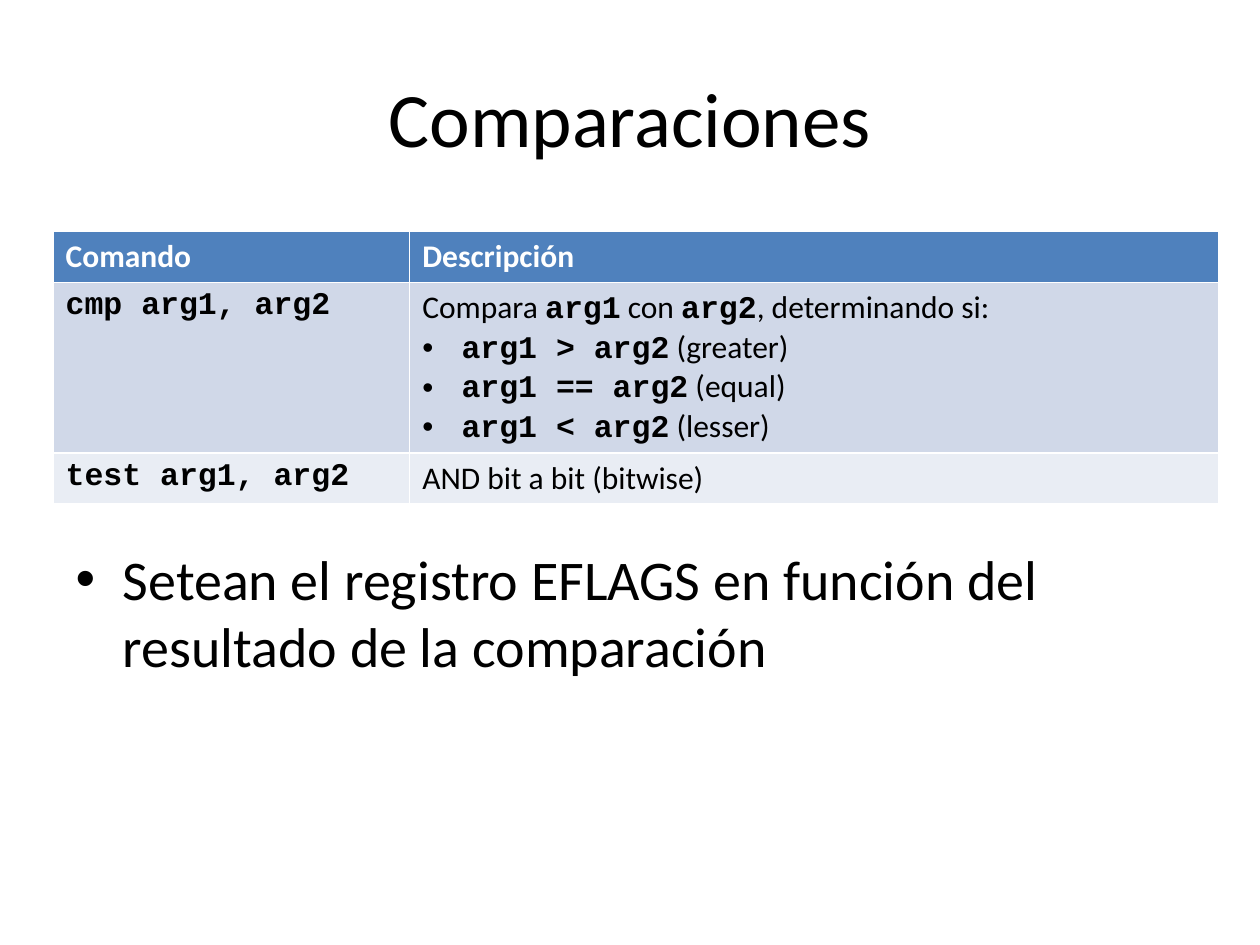
"""Build a slide on the comparison instructions, with a table and a remark."""
import pptx
import pptx.dml.color
import pptx.enum.text
import pptx.oxml.ns
import pptx.util
import lxml.etree

RGBColor = pptx.dml.color.RGBColor
Cm, Pt = pptx.util.Cm, pptx.util.Pt
BLACK = RGBColor(0x00, 0x00, 0x00)
WHITE = RGBColor(0xFF, 0xFF, 0xFF)
BLUE = RGBColor(0x4F, 0x81, 0xBD)
BAND_DARK = RGBColor(0xD0, 0xD8, 0xE8)
BAND_LIGHT = RGBColor(0xE9, 0xED, 0xF4)
BODY_FONT, CODE_FONT = "Calibri", "Courier New"

HEADER = ["Comando", "Descripción"]
ROWS = [
    ("cmp arg1, arg2", [
        ["Compara ", "`arg1", " con ", "`arg2", ", determinando si:"],
        ["`arg1 > arg2", " (greater)"],
        ["`arg1 == arg2", " (equal)"],
        ["`arg1 < arg2", " (lesser)"],
    ]),
    ("test arg1, arg2", [["AND bit a bit (bitwise)"]]),
]


def add_text(p, text, size=18, color=BLACK, font=BODY_FONT, bold=False):
    r = p.add_run()
    r.text = text
    r.font.name, r.font.size, r.font.bold = font, Pt(size), bold
    r.font.color.rgb = color


def add_bullet(p, indent):
    pPr = p._p.get_or_add_pPr()
    pPr.set("marL", str(int(indent)))
    pPr.set("indent", str(-int(indent)))
    qn = pptx.oxml.ns.qn
    lxml.etree.SubElement(pPr, qn("a:buFont"), typeface="Arial")
    lxml.etree.SubElement(pPr, qn("a:buChar"), char="•")


class SlideBuilder:
    def __init__(self, prs):
        self.s = prs.slides.add_slide(prs.slide_layouts[1])

    def place(self, sp, left, top, width, height):
        sp.left, sp.top, sp.width, sp.height = map(Cm, (left, top, width, height))
        tf = sp.text_frame
        tf.word_wrap = True
        tf.auto_size = pptx.enum.text.MSO_AUTO_SIZE.NONE
        return tf

    def title(self, text, box):
        tf = self.place(self.s.shapes.title, *box)
        tf.vertical_anchor = pptx.enum.text.MSO_ANCHOR.MIDDLE
        p = tf.paragraphs[0]
        p.alignment = pptx.enum.text.PP_ALIGN.CENTER
        add_text(p, text, size=44)

    def body(self, text, box, margin_top):
        tf = self.place(self.s.placeholders[1], *box)
        tf.margin_top = Cm(margin_top)
        p = tf.paragraphs[0]
        p.space_before = Pt(0)
        add_bullet(p, Cm(0.95))
        add_text(p, text, size=32)

    def cell(self, cell, lines, fill, color=BLACK, bold=False):
        cell.fill.solid()
        cell.fill.fore_color.rgb = fill
        tf = cell.text_frame
        for i, parts in enumerate(lines):
            p = tf.add_paragraph() if i else tf.paragraphs[0]
            if i:
                add_bullet(p, Cm(0.79))
            for part in parts:
                code = part.startswith("`")
                add_text(p, part.lstrip("`"), color=color, bold=bold or code,
                         font=CODE_FONT if code else BODY_FONT)

    def table(self, left, top, widths, heights):
        box = map(Cm, (left, top, sum(widths), sum(heights)))
        table = self.s.shapes.add_table(len(heights), len(widths), *box).table
        for column, width in zip(table.columns, widths):
            column.width = Cm(width)
        for row, height in zip(table.rows, heights):
            row.height = Cm(height)
        for i, text in enumerate(HEADER):
            self.cell(table.cell(0, i), [[text]], BLUE, WHITE, bold=True)
        for i, (command, description) in enumerate(ROWS, 1):
            fill = BAND_DARK if i % 2 else BAND_LIGHT
            self.cell(table.cell(i, 0), [["`" + command]], fill)
            self.cell(table.cell(i, 1), description, fill)


def main():
    prs = pptx.Presentation()
    prs.slide_width, prs.slide_height = Cm(25.4), Cm(19.05)
    slide = SlideBuilder(prs)
    slide.title("Comparaciones", (1.27, 0.76, 22.86, 3.18))
    slide.body("Setean el registro EFLAGS en función del resultado de la comparación",
               (1.27, 4.45, 22.86, 12.57), margin_top=6.53)
    slide.table(1.07, 4.66, widths=(7.19, 16.31), heights=(1.03, 3.4, 1.03))
    prs.save("out.pptx")


if __name__ == "__main__":
    main()
